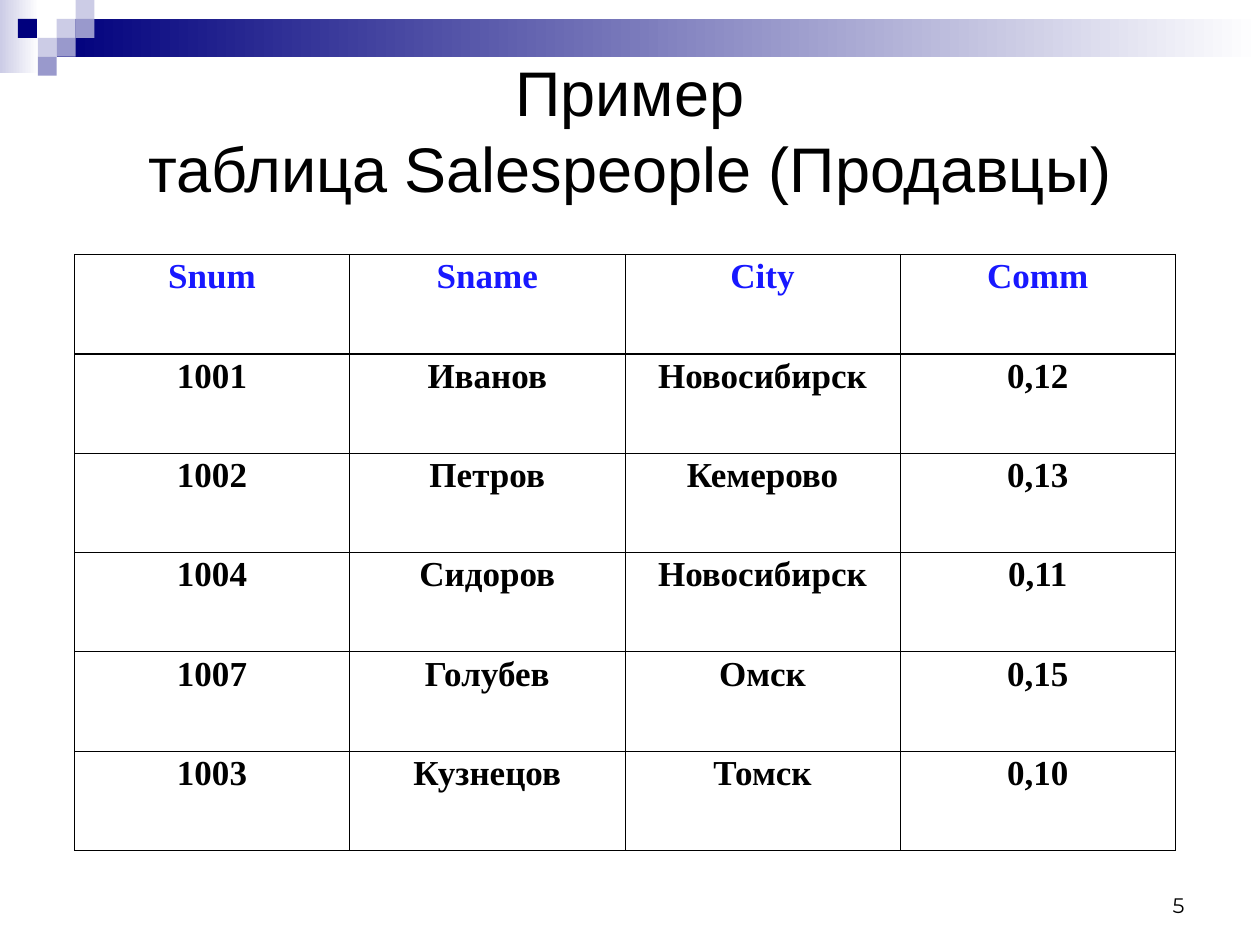
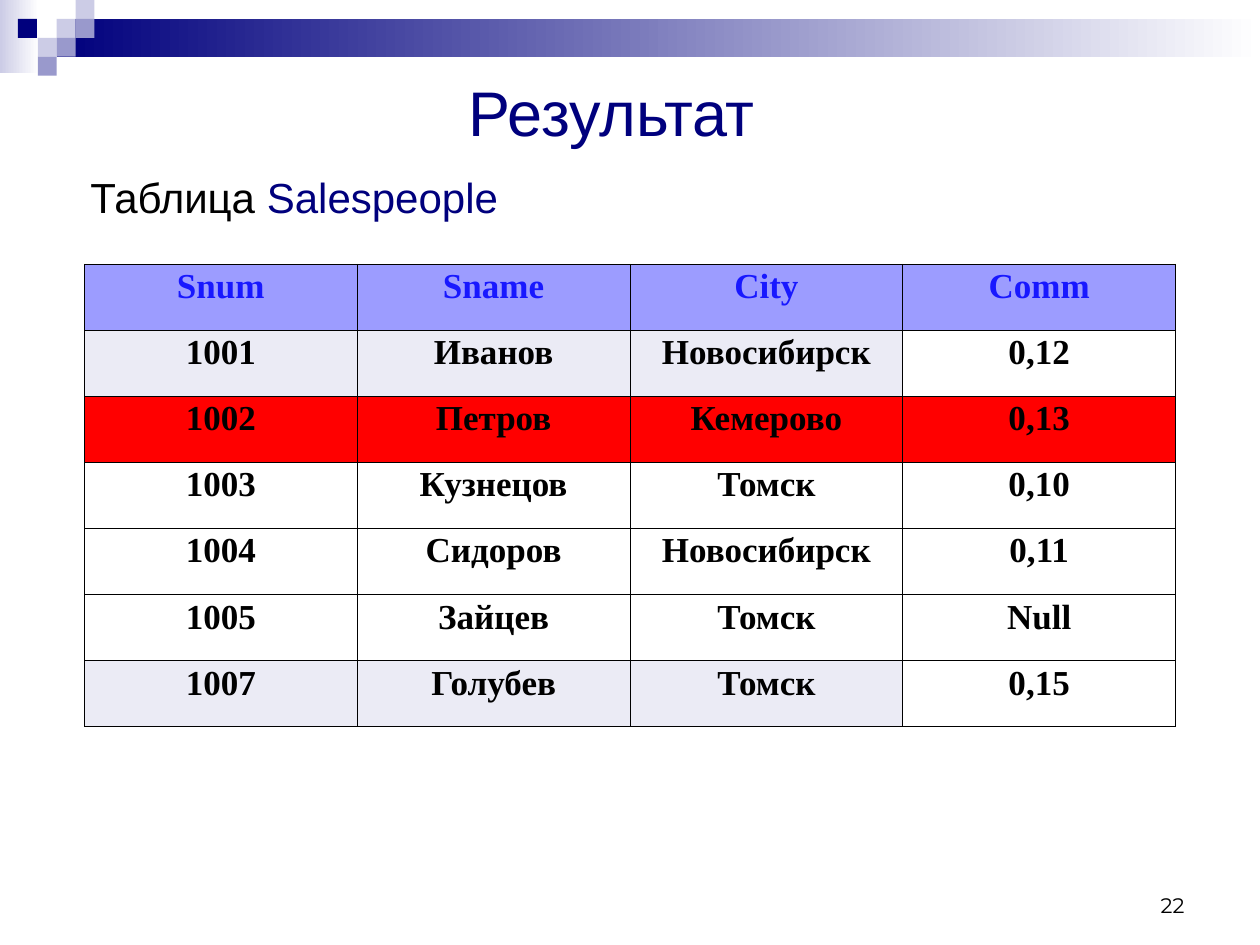
import pptx
import pptx.dml.color
import pptx.enum.shapes
import pptx.enum.text
import pptx.oxml
import pptx.oxml.ns
import pptx.util

Inches = pptx.util.Inches
Pt = pptx.util.Pt
RGBColor = pptx.dml.color.RGBColor
ALIGN = pptx.enum.text.PP_ALIGN
ANCHOR = pptx.enum.text.MSO_ANCHOR

BLACK = RGBColor(0x00, 0x00, 0x00)
WHITE = RGBColor(0xFF, 0xFF, 0xFF)
NAVY = RGBColor(0x00, 0x00, 0x7D)
LAVENDER = RGBColor(0xCC, 0xCC, 0xE6)
PERIWINKLE = RGBColor(0x99, 0x99, 0xCC)
HEADER_BLUE = RGBColor(0x18, 0x18, 0xFF)
HEADER_FILL = RGBColor(0x9C, 0x9C, 0xFF)
PALE = RGBColor(0xEB, 0xEB, 0xF5)
RED = RGBColor(0xFF, 0x00, 0x00)

SQUARE = 0.15
MOSAIC = [
    (3, 1, LAVENDER), (4, 0, LAVENDER), (4, 1, PERIWINKLE), (2, 2, LAVENDER),
    (0.95, 1, NAVY), (3, 2, PERIWINKLE), (2, 3, PERIWINKLE),
]
THIN, THICK = 0.45, 0.96

HEADER = ["Snum", "Sname", "City", "Comm"]
IVANOV = ["1001", "Иванов", "Новосибирск", "0,12"]
PETROV = ["1002", "Петров", "Кемерово", "0,13"]
KUZNETSOV = ["1003", "Кузнецов", "Томск", "0,10"]
SIDOROV = ["1004", "Сидоров", "Новосибирск", "0,11"]
ZAITSEV = ["1005", "Зайцев", "Томск", "Null"]


def add_block(slide, left, top, width, height, color, fade=False):
    block = slide.shapes.add_shape(
        pptx.enum.shapes.MSO_SHAPE.RECTANGLE,
        Inches(left), Inches(top), Inches(width), Inches(height))
    block.shadow.inherit = False
    block.line.fill.background()
    if fade:
        block.fill.gradient()
        block.fill.gradient_angle = 0
        for stop, stop_color in zip(block.fill.gradient_stops, (color, WHITE)):
            stop.color.rgb = stop_color
    else:
        block.fill.solid()
        block.fill.fore_color.rgb = color


def add_text(slide, left, top, width, height, parts, size, font="Arial",
             align=ALIGN.CENTER, anchor=ANCHOR.MIDDLE, margin_right=0.1):
    box = slide.shapes.add_textbox(
        Inches(left), Inches(top), Inches(width), Inches(height))
    frame = box.text_frame
    frame.word_wrap = True
    frame.vertical_anchor = anchor
    frame.margin_right = Inches(margin_right)
    paragraph = frame.paragraphs[0]
    paragraph.alignment = align
    paragraph.font.size = Pt(size)
    paragraph.font.name = font
    for text, color in parts:
        for index, line in enumerate(text.split("\n")):
            if index:
                paragraph.add_line_break()
            run = paragraph.add_run()
            run.text = line
            run.font.color.rgb = color


def add_base_slide(deck, number):
    slide = deck.slides.add_slide(deck.slide_layouts[6])
    add_block(slide, 0, 0, 0.31, 0.58, LAVENDER, fade=True)
    add_block(slide, 0.45, 0.15, 9.55, 0.3, NAVY, fade=True)
    for column, row, color in MOSAIC:
        add_block(slide, column * SQUARE, row * SQUARE, SQUARE, SQUARE, color)
    add_text(slide, 7.17, 6.83, 2.33, 0.5, [(number, BLACK)], 12, "Montserrat",
             ALIGN.RIGHT, ANCHOR.BOTTOM)
    return slide


def set_borders(cell, top, bottom):
    properties = cell._tc.get_or_add_tcPr()
    for side, width in (("L", THIN), ("R", THIN), ("T", top), ("B", bottom)):
        properties.append(pptx.oxml.parse_xml(
            f'<a:ln{side} {pptx.oxml.ns.nsdecls("a")} w="{int(Pt(width))}">'
            f'<a:solidFill><a:srgbClr val="{BLACK}"/></a:solidFill>'
            f'</a:ln{side}>'))


def fill_cell(cell, text, color, fill):
    if fill is None:
        cell.fill.background()
    else:
        cell.fill.solid()
        cell.fill.fore_color.rgb = fill
    paragraph = cell.text_frame.paragraphs[0]
    paragraph.text = text
    paragraph.alignment = ALIGN.CENTER
    paragraph.line_spacing = 0.9
    paragraph.font.size = Pt(20)
    paragraph.font.name = "Times New Roman"
    paragraph.font.bold = True
    paragraph.font.color.rgb = color


def add_salespeople(slide, left, top, width, height, people, fills):
    records = [HEADER] + people
    table = slide.shapes.add_table(
        len(records), len(HEADER),
        Inches(left), Inches(top), Inches(width), Inches(height)).table
    table.first_row = False
    table.horz_banding = False
    for row in table.rows:
        row.height = Inches(height / len(records))
    for row, record in enumerate(records):
        for column, text in enumerate(record):
            cell = table.cell(row, column)
            set_borders(cell, THICK if row < 2 else THIN,
                        THICK if row == 0 else THIN)
            fill = fills[row][column] if fills else None
            fill_cell(cell, text, BLACK if row else HEADER_BLUE, fill)


def main():
    deck = pptx.Presentation()
    deck.slide_width = Inches(10)
    deck.slide_height = Inches(7.5)

    example = add_base_slide(deck, "5")
    add_text(example, 0.5, 0.5, 9, 1.05,
             [("Пример\nтаблица Salespeople (Продавцы)", BLACK)], 36)
    add_salespeople(
        example, 0.59, 2.02, 8.74, 4.73,
        [IVANOV, PETROV, SIDOROV, ["1007", "Голубев", "Омск", "0,15"],
         KUZNETSOV], None)

    result = add_base_slide(deck, "22")
    add_text(result, 0.51, 0.52, 9, 0.73, [("Результат", NAVY)], 36,
             margin_right=0.41)
    add_text(result, 0.62, 1.31, 9.16, 5.75,
             [("Таблица ", BLACK), ("Salespeople", NAVY)], 24,
             align=ALIGN.LEFT, anchor=ANCHOR.TOP)
    pale_row = [PALE] * 3 + [None]
    add_salespeople(
        result, 0.67, 2.1, 8.66, 3.67,
        [IVANOV, PETROV, KUZNETSOV, SIDOROV, ZAITSEV,
         ["1007", "Голубев", "Томск", "0,15"]],
        [[HEADER_FILL] * 4, pale_row, [RED] * 4, [None] * 4, [None] * 4,
         [WHITE] * 4, pale_row])

    deck.save("out.pptx")


if __name__ == "__main__":
    main()
